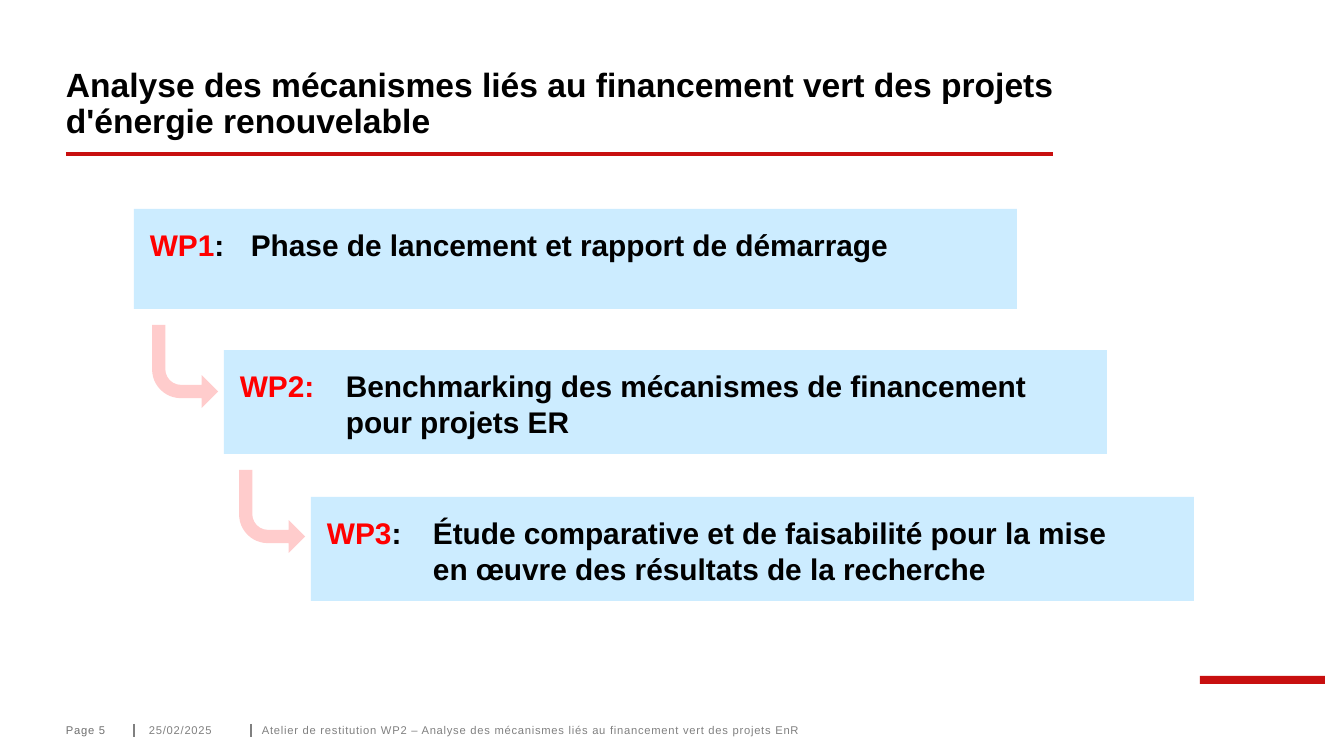
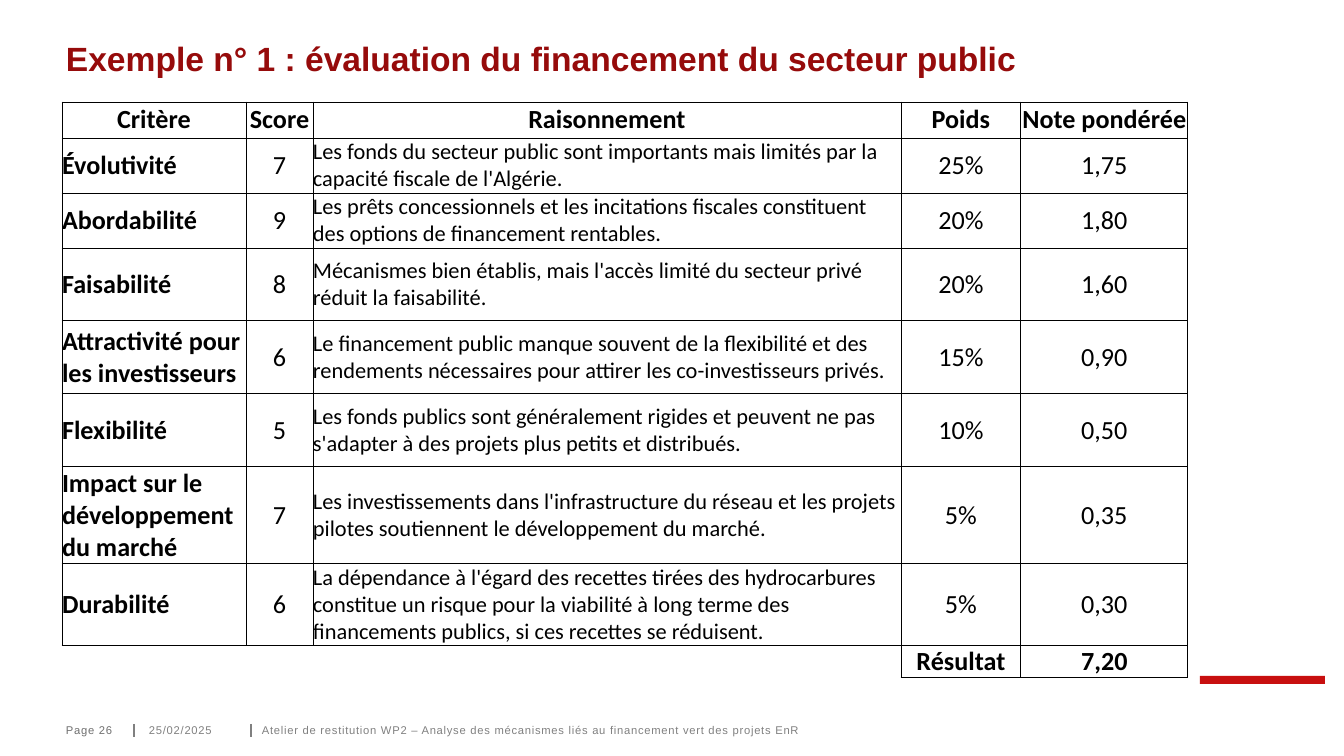
from lxml import etree
from pptx import Presentation
from pptx.dml.color import RGBColor
from pptx.enum.shapes import MSO_CONNECTOR, MSO_SHAPE
from pptx.enum.text import MSO_ANCHOR, PP_ALIGN
from pptx.oxml.ns import qn
from pptx.util import Pt

LINE = MSO_CONNECTOR.STRAIGHT
RECT, BENT = MSO_SHAPE.RECTANGLE, MSO_SHAPE.BENT_ARROW
TOP, MID, LOW = MSO_ANCHOR.TOP, MSO_ANCHOR.MIDDLE, MSO_ANCHOR.BOTTOM
LEFT, MIDDLE = PP_ALIGN.LEFT, PP_ALIGN.CENTER

RED, DARK, HOT = "C80F0F", "960B0B", "FF0000"
BLACK, GREY, SLATE = "000000", "808080", "6F6F6F"
SKY, PINK = "CCECFF", "FFCCCC"

DATE = "25/02/2025"
EVENT = "Atelier de restitution WP2 – Analyse des mécanismes liés au financement vert des projets EnR"

PLAN = "Analyse des mécanismes liés au financement vert des projets \vd'énergie renouvelable"
STEPS = [
    (134, 209, 100, 101, "WP1", ":\tPhase de lancement et rapport de démarrage"),
    (224, 350, 104, 106, "WP2:\t", "Benchmarking des mécanismes de financement pour projets ER"),
    (311, 497, 104, 106, "WP3", ":\tÉtude comparative et de faisabilité pour la mise \ven œuvre des résultats de la recherche"),
]
BENDS = [(152, 325), (239, 470)]
ADJUST = [0.201, 0.25, 0.25, 0.438]

CASE = "Exemple n° 1 : évaluation du financement du secteur public"
COLS = [184, 67, 588, 120, 167]
ROWS = [36, 55, 55, 73, 73, 73, 97, 82, 32]
GRID = [
    ("Critère", "Score", "Raisonnement", "Poids", "Note pondérée"),
    ("Évolutivité", "7", "Les fonds du secteur public sont importants mais limités par la capacité fiscale de l'Algérie.", "25%", "1,75"),
    ("Abordabilité", "9", "Les prêts concessionnels et les incitations fiscales constituent des options de financement rentables.", "20%", "1,80"),
    ("Faisabilité", "8", "Mécanismes bien établis, mais l'accès limité du secteur privé réduit la faisabilité.", "20%", "1,60"),
    ("Attractivité pour les investisseurs", "6", "Le financement public manque souvent de la flexibilité et des rendements nécessaires pour attirer les co-investisseurs privés.", "15%", "0,90"),
    ("Flexibilité", "5", "Les fonds publics sont généralement rigides et peuvent ne pas s'adapter à des projets plus petits et distribués.", "10%", "0,50"),
    ("Impact sur le développement du marché", "7", "Les investissements dans l'infrastructure du réseau et les projets pilotes soutiennent le développement du marché.", "5%", "0,35"),
    ("Durabilité", "6", "La dépendance à l'égard des recettes tirées des hydrocarbures constitue un risque pour la viabilité à long terme des financements publics, si ces recettes se réduisent.", "5%", "0,30"),
    ("", "", "", "Résultat", "7,20"),
]


def px(n):
    return round(n * 914400 / 134.4)


def tint(code):
    return RGBColor.from_string(code)


def style(font, size, color, bold=False, face="Arial"):
    font.name, font.size, font.bold = face, Pt(size), bold
    font.color.rgb = tint(color)


def frame(shape, anchor, left=0, top=0, right=0, bottom=0):
    box = shape.text_frame
    box.word_wrap = True
    box.vertical_anchor = anchor
    box.margin_left, box.margin_top = px(left), px(top)
    box.margin_right, box.margin_bottom = px(right), px(bottom)
    return box.paragraphs[0]


def block(slide, kind, x, y, w, h, color):
    shape = slide.shapes.add_shape(kind, px(x), px(y), px(w), px(h))
    shape.shadow.inherit = False
    shape.fill.solid()
    shape.fill.fore_color.rgb = tint(color)
    shape.line.fill.background()
    return shape


def rule(slide, x1, y1, x2, y2, color, width):
    line = slide.shapes.add_connector(LINE, px(x1), px(y1), px(x2), px(y2))
    line.line.color.rgb = tint(color)
    line.line.width = Pt(width)
    etree.SubElement(line._element.spPr, qn("a:effectLst"))


def label(slide, x, y, w, h, text, size, color, anchor=MID, bold=False):
    para = frame(slide.shapes.add_textbox(px(x), px(y), px(w), px(h)), anchor)
    para.text = text
    style(para.font, size, color, bold)
    return para


def base(deck, title, y, color, page):
    slide = deck.slides.add_slide(deck.slide_layouts[6])
    block(slide, RECT, 1200, 676, 125, 8, RED)
    for x in (251, 134):
        rule(slide, x, 724, x, 737, GREY, 0.75)
    head = label(slide, 66, y, 1259, 79, title, 18, color, LOW, True)
    head.line_spacing = 0.9
    foot = [(66, 66, f"Page {page}", SLATE), (149, 89, DATE, GREY), (262, 859, EVENT, GREY)]
    for x, w, text, shade in foot:
        para = label(slide, x, 724, w, 13, text, 6, shade)
        para.font._rPr.set("spc", "40")
    return slide


def step(slide, x, y, h, hang, code, text):
    para = frame(block(slide, RECT, x, y, 883, h, SKY), TOP, 16, 18, 16, 16)
    para.alignment = LEFT
    props = para._p.get_or_add_pPr()
    props.set("marL", str(px(hang)))
    props.set("indent", str(-px(hang)))
    for part, color in ((code, HOT), (text, BLACK)):
        for i, row in enumerate(part.split("\v")):
            if i:
                para.add_line_break()
            run = para.add_run()
            run.text = row
            style(run.font, 16, color, True)


def bend(slide, x, y):
    arrow = block(slide, BENT, x, y, 66, 83, PINK)
    for i, value in enumerate(ADJUST):
        arrow.adjustments[i] = value
    arrow.rotation = 180
    arrow._element.spPr.xfrm.set("flipH", "1")


def edge(cell, sides):
    props = cell._tc.get_or_add_tcPr()
    for side in "LRTB":
        line = etree.SubElement(props, qn(f"a:ln{side}"), w=str(Pt(0.5)))
        if side in sides:
            fill = etree.SubElement(line, qn("a:solidFill"))
            etree.SubElement(fill, qn("a:srgbClr"), val=BLACK)
        else:
            etree.SubElement(line, qn("a:noFill"))


def fill(cell, r, c, text):
    wide = r in (0, len(GRID) - 1)
    cell.margin_left = cell.margin_right = 0
    cell.margin_top = cell.margin_bottom = 0
    cell.vertical_anchor = MID
    para = cell.text_frame.paragraphs[0]
    if text:
        para.text = text
        para.alignment = MIDDLE if wide or c not in (0, 2) else LEFT
        size = 12 if c == 2 and not wide else 14
        style(para.font, size, BLACK, wide or c == 0, "Calibri")
        edge(cell, "LRTB")
    else:
        para._p.get_or_add_endParaRPr().set("sz", "1200")
        edge(cell, "TR" if c == 2 else "T")
    cell.fill.background()


def scores(slide):
    shape = slide.shapes.add_table(len(ROWS), len(COLS), px(62), px(102), px(sum(COLS)), px(sum(ROWS)))
    table = shape.table
    table.first_row = table.horz_banding = False
    for col, w in zip(table.columns, COLS):
        col.width = px(w)
    for r, (h, row) in enumerate(zip(ROWS, GRID)):
        table.rows[r].height = px(h)
        for c, text in enumerate(row):
            fill(table.cell(r, c), r, c, text)


def main():
    deck = Presentation()
    deck.slide_width, deck.slide_height = px(1344), px(756)
    slide = base(deck, PLAN, 62, BLACK, 5)
    rule(slide, 66, 154, 1053, 154, RED, 2.25)
    for item in STEPS:
        step(slide, *item)
    for spot in BENDS:
        bend(slide, *spot)
    scores(base(deck, CASE, 0, DARK, 26))
    deck.save("out.pptx")


if __name__ == "__main__":
    main()
